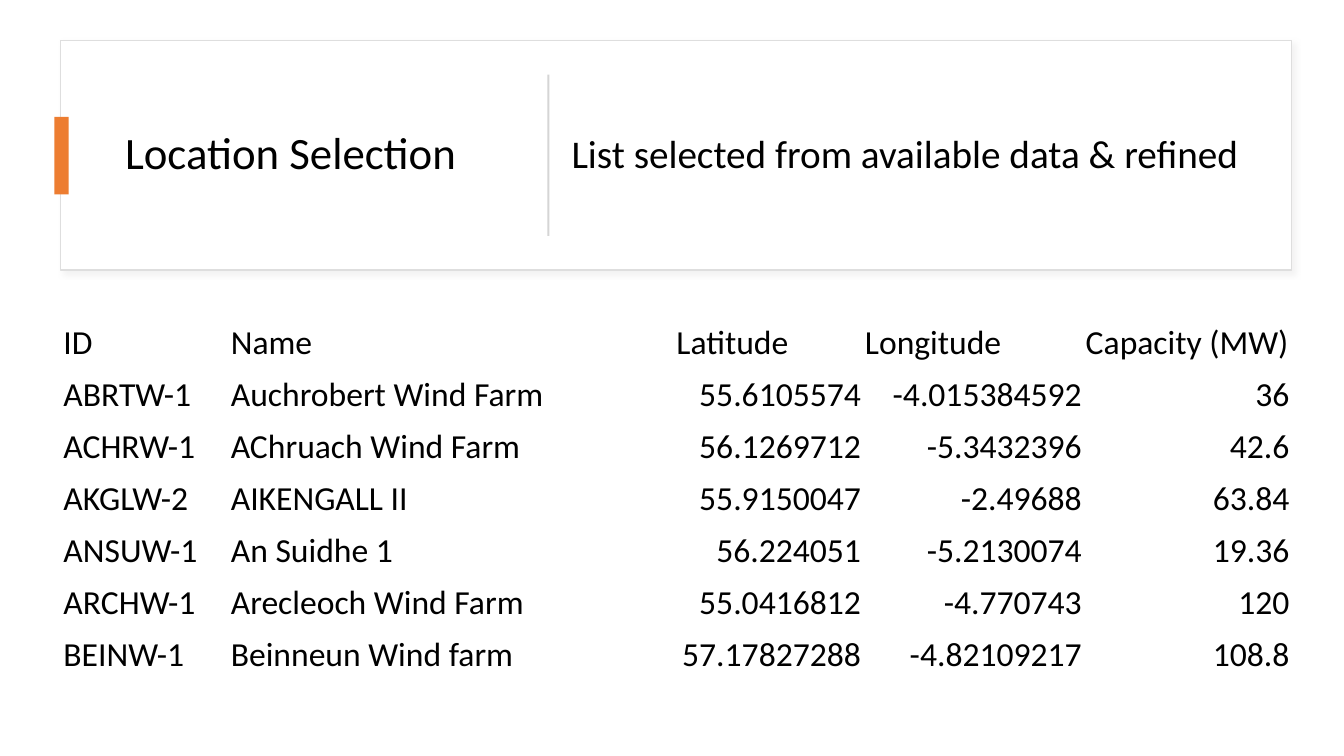
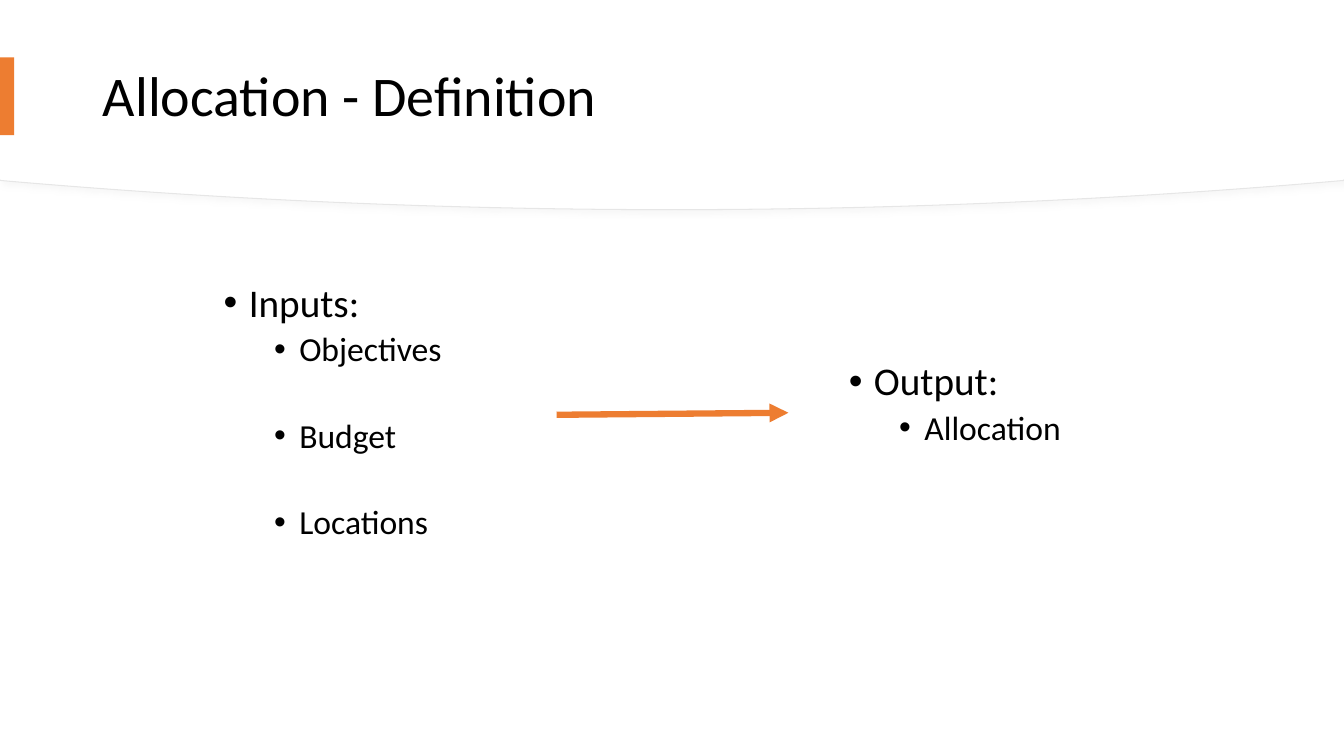
"""Build two slides: the wind farm locations table and the allocation definition."""
from lxml import etree
from pptx import Presentation
from pptx.dml import color
from pptx.enum import shapes, text
from pptx.oxml import ns, parse_xml
from pptx.util import Inches, Pt

FONT = "Calibri"
BLACK, WHITE, ORANGE, DIVIDER = "000000", "FFFFFF", "ED7D31", "D5D5D5"
WIDTH, HEIGHT = 13.33, 7.5
RECTANGLE = shapes.MSO_SHAPE.RECTANGLE
LEFT, RIGHT = text.PP_ALIGN.LEFT, text.PP_ALIGN.RIGHT
MIDDLE, BOTTOM = text.MSO_ANCHOR.MIDDLE, text.MSO_ANCHOR.BOTTOM


def paint(item, fill, line=None, width=0, shadow=None):
    """Fill and outline a shape, with an optional soft shadow."""
    item.shadow.inherit = False
    item.fill.solid()
    item.fill.fore_color.rgb = color.RGBColor.from_string(fill)
    if line:
        item.line.color.rgb = color.RGBColor.from_string(line)
        item.line.width = Pt(width)
    else:
        item.line.fill.background()
    if shadow:
        effects = item._element.spPr.find(ns.qn("a:effectLst"))
        effects.append(parse_xml(
            f'<a:outerShdw {ns.nsdecls("a")} blurRad="{Pt(4)}" dist="{Pt(3)}" dir="2700000" '
            f'algn="tl" rotWithShape="0"><a:srgbClr val="{shadow}"><a:alpha val="20000"/>'
            '</a:srgbClr></a:outerShdw>'))


def write(paragraph, words, size, **format_values):
    """Put words in a paragraph and set its format."""
    run = paragraph.add_run()
    run.text = words
    run.font.name, run.font.size = FONT, Pt(size)
    run.font.color.rgb = color.RGBColor.from_string(BLACK)
    for name, value in {"alignment": LEFT, **format_values}.items():
        setattr(paragraph, name, value)


presentation = Presentation()
presentation.slide_width, presentation.slide_height = Inches(WIDTH), Inches(HEIGHT)
title_only = presentation.slide_layouts[5]
location_slide = presentation.slides.add_slide(title_only)
allocation_slide = presentation.slides.add_slide(title_only)

panel = location_slide.shapes.add_shape(
    RECTANGLE, Inches(0.6), Inches(0.4), Inches(12.21), Inches(2.28))
paint(panel, WHITE, "DEDEDE", 1, "C5C3C3")

sag = 0.29
for depth, band_format in (
    (2.08, {"line": "E6E6E6", "width": 0.75, "shadow": "D9D9D9"}),
    (2.07, {}),
):
    edge = Inches(depth - sag)
    builder = allocation_slide.shapes.build_freeform(0, 0)
    builder.add_line_segments(
        [(Inches(WIDTH), 0), (Inches(WIDTH), edge), (Inches(WIDTH / 2), Inches(depth)), (0, edge)],
        close=True)
    band = builder.convert_to_shape()
    lowest, last = list(band._element.iter(ns.qn("a:lnTo")))[-2:]
    control, end = lowest[0], last[0]
    control.set("y", str(Inches(depth + sag)))
    curve = etree.Element(ns.qn("a:quadBezTo"))
    lowest.addprevious(curve)
    curve.extend([control, end])
    for segment in (lowest, last):
        segment.getparent().remove(segment)
    paint(band, WHITE, **band_format)

for slide, heading, size, box, accent_left, accent_top in (
    (location_slide, "Location Selection", 32, (1.14, 0.64, 3.89, 1.8), 0.54, 1.16),
    (allocation_slide, "Allocation - Definition", 40, (0.92, 0.28, 11.5, 1.39), 0, 0.57),
):
    title = slide.shapes.title
    slide.shapes._spTree.append(title._element)
    title.left, title.top, title.width, title.height = map(Inches, box)
    frame = title.text_frame
    frame.auto_size, frame.vertical_anchor = text.MSO_AUTO_SIZE.NONE, MIDDLE
    write(frame.paragraphs[0], heading, size, line_spacing=0.9)
    accent = slide.shapes.add_shape(
        RECTANGLE, Inches(accent_left), Inches(accent_top), Inches(0.14), Inches(0.77))
    paint(accent, ORANGE)

divider = location_slide.shapes.add_shape(
    RECTANGLE, Inches(5.43), Inches(0.74), Inches(0.02), Inches(1.6))
paint(divider, DIVIDER)
subtitle = location_slide.shapes.add_textbox(
    Inches(5.57), Inches(0.65), Inches(7.12), Inches(1.8))
subtitle.text_frame.word_wrap = True
subtitle.text_frame.vertical_anchor = MIDDLE
write(subtitle.text_frame.paragraphs[0], "List selected from available data & refined", 28,
      line_spacing=0.9, space_before=Pt(10))

farms = (
    ("ID", "Name", "Latitude", "Longitude", "Capacity (MW)"),
    ("ABRTW-1", "Auchrobert Wind Farm", "55.6105574", "-4.015384592", "36"),
    ("ACHRW-1", "AChruach Wind Farm", "56.1269712", "-5.3432396", "42.6"),
    ("AKGLW-2", "AIKENGALL II", "55.9150047", "-2.49688", "63.84"),
    ("ANSUW-1", "An Suidhe 1", "56.224051", "-5.2130074", "19.36"),
    ("ARCHW-1", "Arecleoch Wind Farm", "55.0416812", "-4.770743", "120"),
    ("BEINW-1", "Beinneun Wind farm", "57.17827288", "-4.82109217", "108.8"),
)
column_widths = (1.66, 4.42, 1.87, 2.19, 2.06)
table = location_slide.shapes.add_table(
    len(farms), len(column_widths), Inches(0.61), Inches(3.09), Inches(12.2), Inches(3.61)).table
table.first_row = table.horz_banding = False
for column, width in zip(table.columns, column_widths):
    column.width = Inches(width)
cell_format = {
    "margin_left": Inches(0.02), "margin_right": Inches(0.02), "margin_top": Inches(0.02),
    "margin_bottom": 0, "vertical_anchor": BOTTOM,
}
for row_index, farm in enumerate(farms):
    for column_index, value in enumerate(farm):
        cell = table.cell(row_index, column_index)
        cell.fill.background()
        for name, setting in cell_format.items():
            setattr(cell, name, setting)
        numeric = row_index > 0 and column_index > 1
        write(cell.text_frame.paragraphs[0], value, 24, alignment=RIGHT if numeric else LEFT)

lists = []
for box, heading, items in (
    ((1.62, 2.76, 3.9, 2.71), "Inputs:", ("Objectives", "Budget", "Locations")),
    ((7.82, 3.54, 3.9, 1.11), "Output:", ("Allocation",)),
):
    list_box = allocation_slide.shapes.add_textbox(*map(Inches, box))
    lists.append(list_box)
    frame = list_box.text_frame
    frame.word_wrap = True
    for index, words in enumerate((heading, *items)):
        paragraph = frame.add_paragraph() if index else frame.paragraphs[0]
        level = 2 if index else 1
        write(paragraph, words, 24 if index else 28, level=level, line_spacing=0.9,
              space_before=Pt(36 if index > 1 else 5))
        properties = paragraph._p.get_or_add_pPr()
        properties.set("marL", str(Inches(0.25 + 0.5 * level)))
        properties.set("indent", str(Inches(-0.25)))
        etree.SubElement(properties, ns.qn("a:buFont"), typeface="Arial")
        etree.SubElement(properties, ns.qn("a:buChar"), char="•")

inputs, output = lists
arrow = allocation_slide.shapes.add_connector(shapes.MSO_CONNECTOR.STRAIGHT, 0, 0, 0, 0)
arrow.begin_connect(inputs, 3)
arrow.end_connect(output, 1)
arrow.line.color.rgb = color.RGBColor.from_string(ORANGE)
arrow.line.width = Pt(4.5)
etree.SubElement(arrow.line._get_or_add_ln(), ns.qn("a:tailEnd"), type="triangle")
etree.SubElement(arrow._element.spPr, ns.qn("a:effectLst"))

presentation.save("out.pptx")
